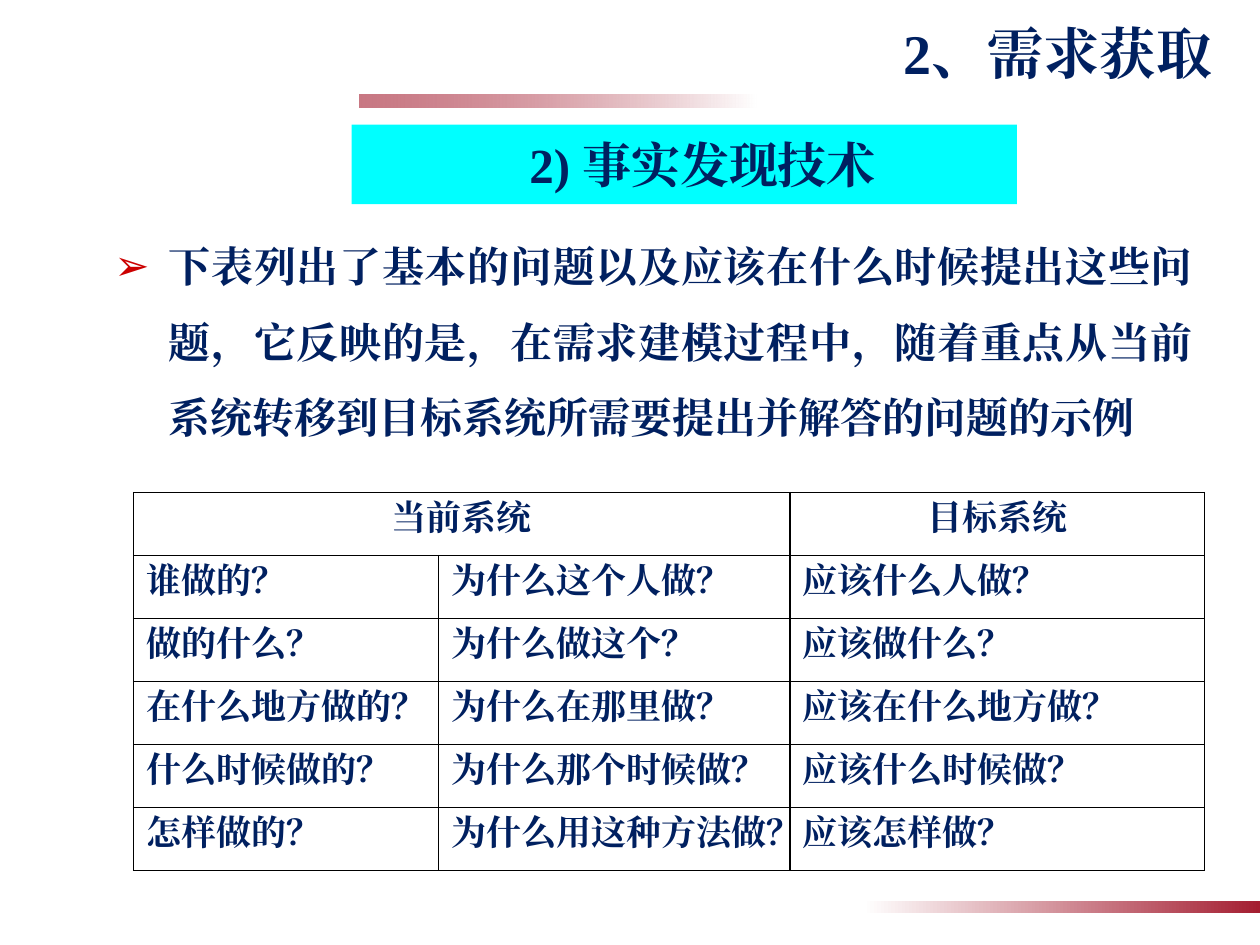
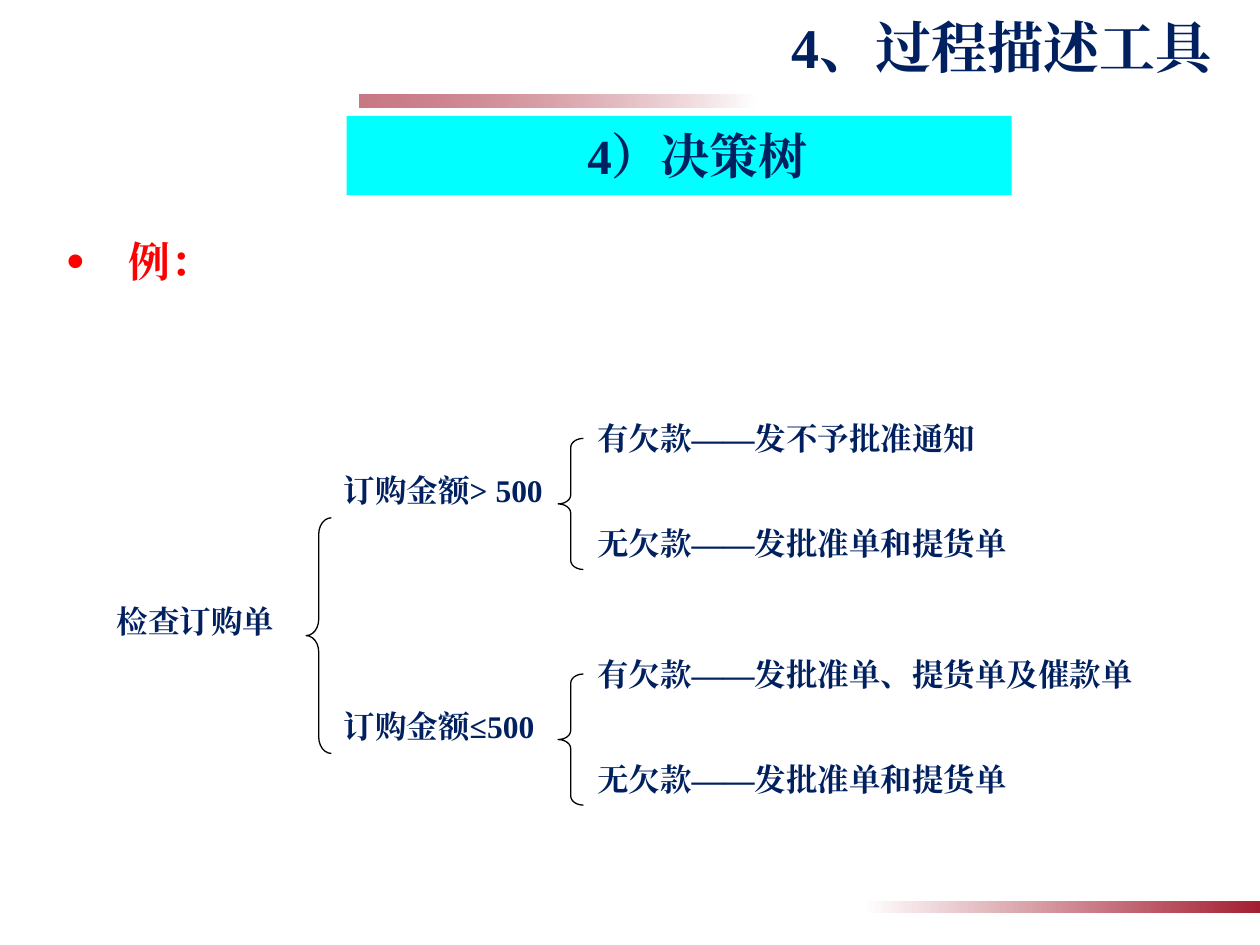
from typing import NamedTuple

from lxml.etree import SubElement
from pptx import Presentation
from pptx.dml.color import RGBColor
from pptx.enum.shapes import MSO_SHAPE as Shape
from pptx.enum.text import MSO_ANCHOR as Anchor, PP_ALIGN as Align
from pptx.oxml.ns import qn
from pptx.util import Inches, Pt

NAVY = RGBColor(0x00, 0x20, 0x60)
CRIMSON = RGBColor(0xA4, 0x1E, 0x31)
CYAN = RGBColor(0x00, 0xFF, 0xFF)
RED = RGBColor(0xFF, 0x00, 0x00)
BULLET_RED = RGBColor(0xCC, 0x00, 0x00)
WHITE = RGBColor(0xFF, 0xFF, 0xFF)
BLACK = RGBColor(0x00, 0x00, 0x00)
FONT = "Times New Roman"


class Box(NamedTuple):
    left: float
    top: float
    width: float
    height: float

    def emu(self) -> list:
        return [Inches(v) for v in self]


class Bullet(NamedTuple):
    char: str
    color: RGBColor
    percent: int = 100


class Branch(NamedTuple):
    label: str
    leaves: tuple


# Text
def write(tf, text: str, *, size=18, color=NAVY, align=Align.JUSTIFY,
          left=0.0, hanging=0.0, spacing=None, bullet=None) -> None:
    p = tf.paragraphs[0]
    pPr = p._p.get_or_add_pPr()
    if hanging:
        pPr.set("marL", str(Inches(left)))
        pPr.set("indent", str(-Inches(hanging)))
    if bullet:
        clr = SubElement(pPr, qn("a:buClr"))
        SubElement(clr, qn("a:srgbClr"), val=str(bullet.color))
        SubElement(pPr, qn("a:buSzPct"), val=str(bullet.percent * 1000))
        SubElement(pPr, qn("a:buFont"), typeface="Arial")
        SubElement(pPr, qn("a:buChar"), char=bullet.char)
    p.alignment = align
    if spacing:
        p.line_spacing = spacing
    r = p.add_run()
    r.text = text
    r.font.name, r.font.size, r.font.bold = FONT, Pt(size), True
    r.font.color.rgb = color
    rPr = r._r.get_or_add_rPr()
    rPr.set("lang", "zh-CN")
    SubElement(rPr, qn("a:ea"), typeface=FONT)


def add_text(slide, box: Box, text: str, anchor=Anchor.TOP, **fmt) -> None:
    tf = slide.shapes.add_textbox(*box.emu()).text_frame
    tf.word_wrap = True
    tf.vertical_anchor = anchor
    write(tf, text, **fmt)


# Shapes
def add_shape(slide, kind, box: Box):
    sp = slide.shapes.add_shape(kind, *box.emu())
    sp.shadow.inherit = False
    sp.line.fill.background()
    return sp


def add_fade(slide, box: Box, rotation=0, opacity=100) -> None:
    sp = add_shape(slide, Shape.RECTANGLE, box)
    sp.rotation = rotation
    sp.fill.gradient()
    sp.fill.gradient_angle = 0
    for stop, color in zip(sp.fill.gradient_stops, (WHITE, CRIMSON)):
        stop.color.rgb = color
    if opacity < 100:
        end = list(sp._element.iter(qn("a:srgbClr")))[-1]
        SubElement(end, qn("a:alpha"), val=str(opacity * 1000))


def add_brace(slide, box: Box, curve: float) -> None:
    sp = add_shape(slide, Shape.LEFT_BRACE, box)
    sp.adjustments[0], sp.adjustments[1] = curve, 0.5
    sp.fill.background()
    sp.line.color.rgb = BLACK
    sp.line.width = Pt(0.75)


def add_banner(slide, left: float, top: float, text: str) -> None:
    sp = add_shape(slide, Shape.RECTANGLE, Box(left, top, 5.28, 0.63))
    sp.fill.solid()
    sp.fill.fore_color.rgb = CYAN
    tf = sp.text_frame
    tf.word_wrap = True
    tf.vertical_anchor = Anchor.TOP
    tf.margin_left, tf.margin_right = Inches(0.39), Inches(0.1)
    tf.margin_top = tf.margin_bottom = Inches(0.08)
    write(tf, text, size=28, align=Align.CENTER)


def new_slide(prs, title: str, title_box: Box, anchor=Anchor.TOP):
    slide = prs.slides.add_slide(prs.slide_layouts[6])
    add_fade(slide, Box(2.85, 0.75, 3.15, 0.1), rotation=180, opacity=60)
    add_fade(slide, Box(6.85, 7.15, 3.15, 0.1))
    add_text(slide, title_box, title, anchor, size=32, align=Align.RIGHT)
    return slide


# Table
def style_cell(cell) -> None:
    tcPr = cell._tc.get_or_add_tcPr()
    for side in ("lnL", "lnR", "lnT", "lnB"):
        ln = SubElement(tcPr, qn(f"a:{side}"), w=str(Pt(1)))
        fill = SubElement(ln, qn("a:solidFill"))
        SubElement(fill, qn("a:srgbClr"), val=str(BLACK))
    cell.fill.background()


def add_questions(slide, left: float, top: float, widths, rows) -> None:
    box = Box(left, top, sum(widths), 0.5 * len(rows))
    table = slide.shapes.add_table(len(rows), len(widths), *box.emu()).table
    table.first_row = table.horz_banding = False
    for col, width in zip(table.columns, widths):
        col.width = Inches(width)
    for i, row in enumerate(rows):
        for j, text in enumerate(row):
            cell = table.cell(i, j)
            style_cell(cell)
            if text:
                write(cell.text_frame, text, size=20, left=0.38, hanging=0.38,
                      align=Align.LEFT if i else Align.CENTER)
    table.cell(0, 0).merge(table.cell(0, 1))


# Decision tree
def add_tree(slide, root: str, branches) -> None:
    pitch, leaf_gap = 1.87, 0.83
    add_text(slide, Box(0.83, 4.73, 1.6, 0.62), root)
    add_brace(slide, Box(2.43, 4.11, 0.2, pitch), 0.65)
    for i, branch in enumerate(branches):
        top = 3.28 + i * pitch
        add_text(slide, Box(2.63, top + 0.41, 1.8 + 0.2 * i, 0.62), branch.label)
        add_brace(slide, Box(4.43, top + 0.2, 0.2, 1.04), 0.36)
        for j, leaf in enumerate(branch.leaves):
            add_text(slide, Box(4.64, top + j * leaf_gap, 5.01, 0.62), leaf)


QUESTIONS = [
    ("当前系统", "", "目标系统"),
    ("谁做的？", "为什么这个人做？", "应该什么人做？"),
    ("做的什么？", "为什么做这个？", "应该做什么？"),
    ("在什么地方做的？", "为什么在那里做？", "应该在什么地方做？"),
    ("什么时候做的？", "为什么那个时候做？", "应该什么时候做？"),
    ("怎样做的？", "为什么用这种方法做？", "应该怎样做？"),
]
BRANCHES = [
    Branch("订购金额> 500", ("有欠款——发不予批准通知", "无欠款——发批准单和提货单")),
    Branch("订购金额≤500", ("有欠款——发批准单、提货单及催款单", "无欠款——发批准单和提货单")),
]


def main() -> None:
    prs = Presentation()
    prs.slide_width, prs.slide_height = Inches(10), Inches(7.5)

    # Fact-finding questions
    s = new_slide(prs, "2、需求获取", Box(1.22, 0.05, 8.5, 0.72), Anchor.MIDDLE)
    add_banner(s, 2.79, 0.99, "2) 事实发现技术")
    add_text(s, Box(0.12, 1.66, 9.45, 2.56),
             "下表列出了基本的问题以及应该在什么时候提出这些问题，它反映的是，"
             "在需求建模过程中，随着重点从当前系统转移到目标系统所需要提出并解答的问题的示例",
             size=24, left=1.12, hanging=0.43, spacing=1.5,
             bullet=Bullet("➢", BULLET_RED))
    add_questions(s, 1.06, 3.91, (2.42, 2.79, 3.29), QUESTIONS)

    # Order approval tree
    s = new_slide(prs, "4、过程描述工具", Box(4.29, 0.05, 5.43, 0.64))
    add_banner(s, 2.75, 0.92, "4）决策树")
    add_text(s, Box(0.43, 1.74, 9.21, 1.31), "例：", size=24, color=RED,
             left=0.49, hanging=0.49, spacing=1.2, bullet=Bullet("•", RED, 120))
    add_tree(s, "检查订购单", BRANCHES)

    prs.save("out.pptx")


if __name__ == "__main__":
    main()
